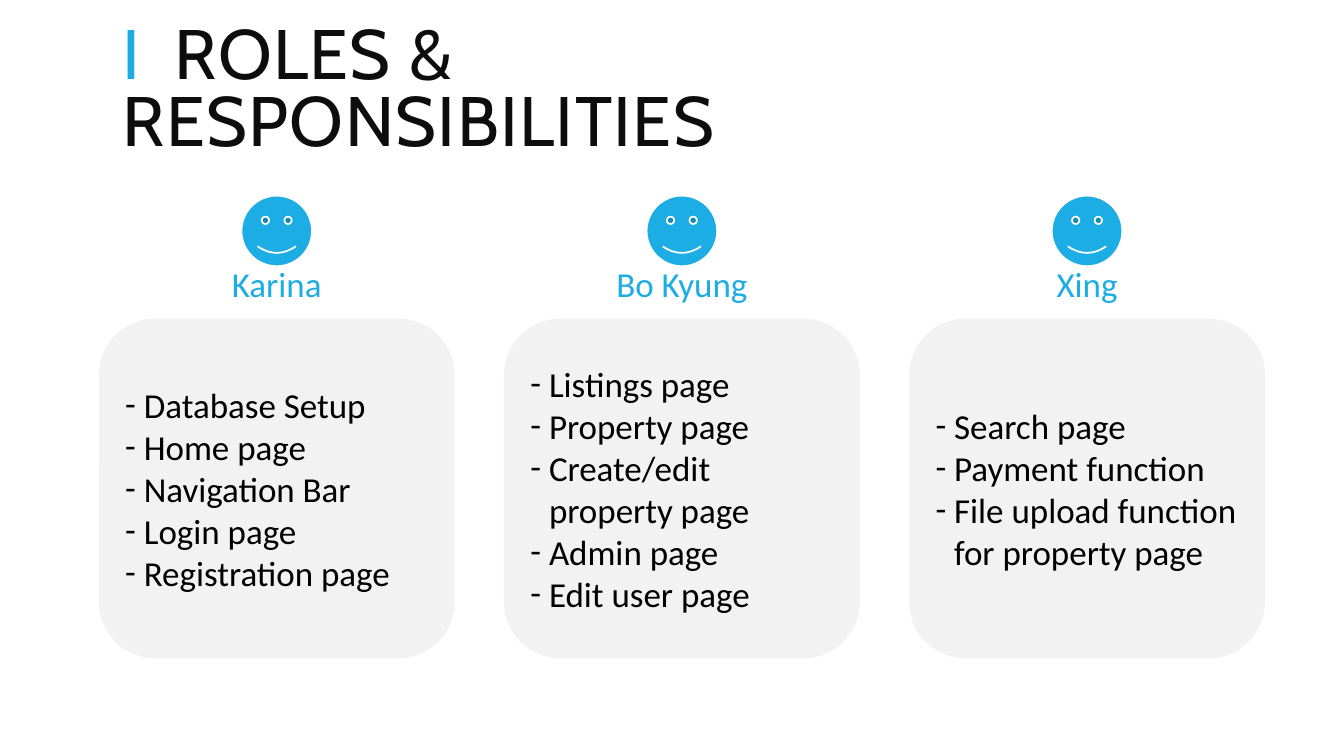
from dataclasses import dataclass

from lxml.etree import SubElement
from pptx import Presentation
from pptx.dml.color import RGBColor
from pptx.enum.shapes import MSO_SHAPE
from pptx.enum.text import MSO_ANCHOR, MSO_AUTO_SIZE, PP_ALIGN
from pptx.oxml.ns import qn
from pptx.util import Cm, Pt

BLUE, GREY, BLACK, WHITE, INK = "1CADE4", "F2F2F2", "000000", "FFFFFF", "0D0D0D"
LEFT, PITCH, WIDTH = 2.49, 10.21, 8.97  # card columns, in cm
FACE = 1.78
HANG = 0.47


@dataclass
class Member:
    name: str
    label: float  # label width, in cm
    tasks: list[str]


TEAM = [
    Member("Karina", 2.84, ["Database Setup", "Home page", "Navigation Bar",
                            "Login page", "Registration page"]),
    Member("Bo Kyung", 3.81, ["Listings page", "Property page",
                              "Create/edit\vproperty page",
                              "Admin page", "Edit user page"]),
    Member("Xing", 2.08, ["Search page", "Payment function",
                          "File upload function\vfor property page"]),
]


def color(code: str) -> RGBColor:
    return RGBColor.from_string(code)


def style(font, size: float, face: str, code: str) -> None:
    font.size = Pt(size)
    font.name = face
    font.color.rgb = color(code)


def add_form(slide, kind, left: float, top: float, width: float, height: float, fill: str):
    form = slide.shapes.add_shape(kind, Cm(left), Cm(top), Cm(width), Cm(height))
    form.shadow.inherit = False
    form.fill.solid()
    form.fill.fore_color.rgb = color(fill)
    form.line.fill.background()
    return form


def add_title(slide) -> None:
    title = slide.shapes.title
    title.left, title.top, title.width, title.height = Cm(2.84), Cm(0.25), Cm(18.11), Cm(4.17)
    frame = title.text_frame
    frame.word_wrap = True
    frame.auto_size = MSO_AUTO_SIZE.NONE
    frame.vertical_anchor = MSO_ANCHOR.MIDDLE
    para = frame.paragraphs[0]
    para.alignment = PP_ALIGN.LEFT
    para.line_spacing = 0.8
    # Tab stop between the bar and the heading
    tabs = SubElement(para._p.get_or_add_pPr(), qn("a:tabLst"))
    SubElement(tabs, qn("a:tab"), pos=str(Cm(1.31)), algn="l")
    for text, code in (("I", BLUE), ("\tROLES & RESPONSIBILITIES", INK)):
        run = para.add_run()
        run.text = text
        style(run.font, 50, "Cabin", code)
        run._r.get_or_add_rPr().set("spc", "100")


def add_card(slide, left: float, tasks: list[str]) -> None:
    card = add_form(slide, MSO_SHAPE.ROUNDED_RECTANGLE, left, 8.03, WIDTH, 8.56, GREY)
    frame = card.text_frame
    frame.word_wrap = True
    frame.margin_right = Cm(0.1)
    frame.vertical_anchor = MSO_ANCHOR.MIDDLE
    for i, task in enumerate(tasks):
        para = frame.add_paragraph() if i else frame.paragraphs[0]
        para.text = task
        para.alignment = PP_ALIGN.LEFT
        # Dash bullet with a hanging indent
        props = para._p.get_or_add_pPr()
        props.set("marL", str(Cm(HANG)))
        props.set("indent", str(-Cm(HANG)))
        SubElement(props, qn("a:buFont"), typeface="Calibri")
        SubElement(props, qn("a:buChar"), char="-")
        style(para.font, 25, "Calibri", BLACK)


def add_head(slide, mid: float, member: Member) -> None:
    face = add_form(slide, MSO_SHAPE.SMILEY_FACE, mid - FACE / 2, 4.93, FACE, FACE, BLUE)
    face.line.color.rgb = color(WHITE)
    face.line.width = Pt(1.25)
    label = slide.shapes.add_textbox(
        Cm(mid - member.label / 2), Cm(6.5), Cm(member.label), Cm(1.32))
    frame = label.text_frame
    frame.word_wrap = False
    frame.auto_size = MSO_AUTO_SIZE.SHAPE_TO_FIT_TEXT
    para = frame.paragraphs[0]
    para.text = member.name
    para.alignment = PP_ALIGN.CENTER
    style(para.font, 25, "Calibri", BLUE)


def main() -> None:
    deck = Presentation()
    deck.slide_width, deck.slide_height = Cm(33.87), Cm(19.05)
    slide = deck.slides.add_slide(deck.slide_layouts.get_by_name("Title Only"))
    add_title(slide)
    # One column per team member
    for i, member in enumerate(TEAM):
        left = LEFT + i * PITCH
        add_card(slide, left, member.tasks)
        add_head(slide, left + WIDTH / 2, member)
    deck.save("out.pptx")


if __name__ == "__main__":
    main()
